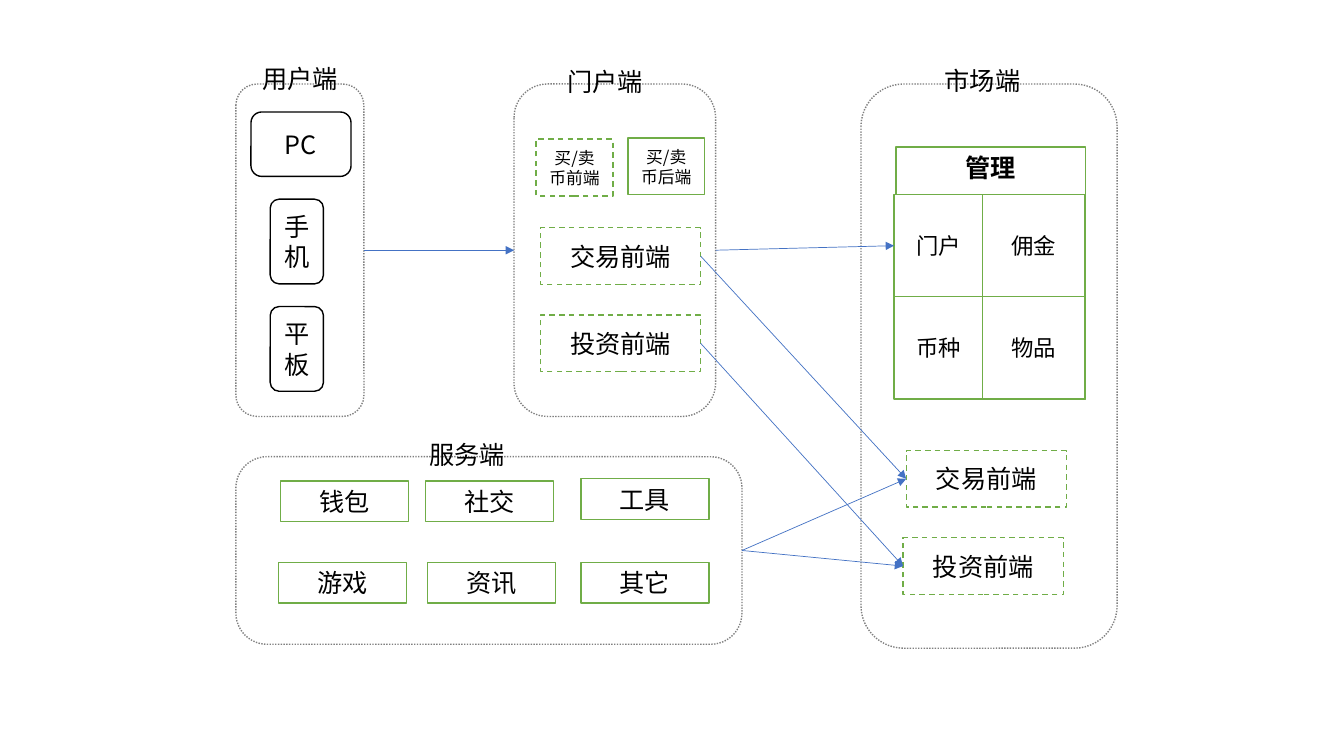
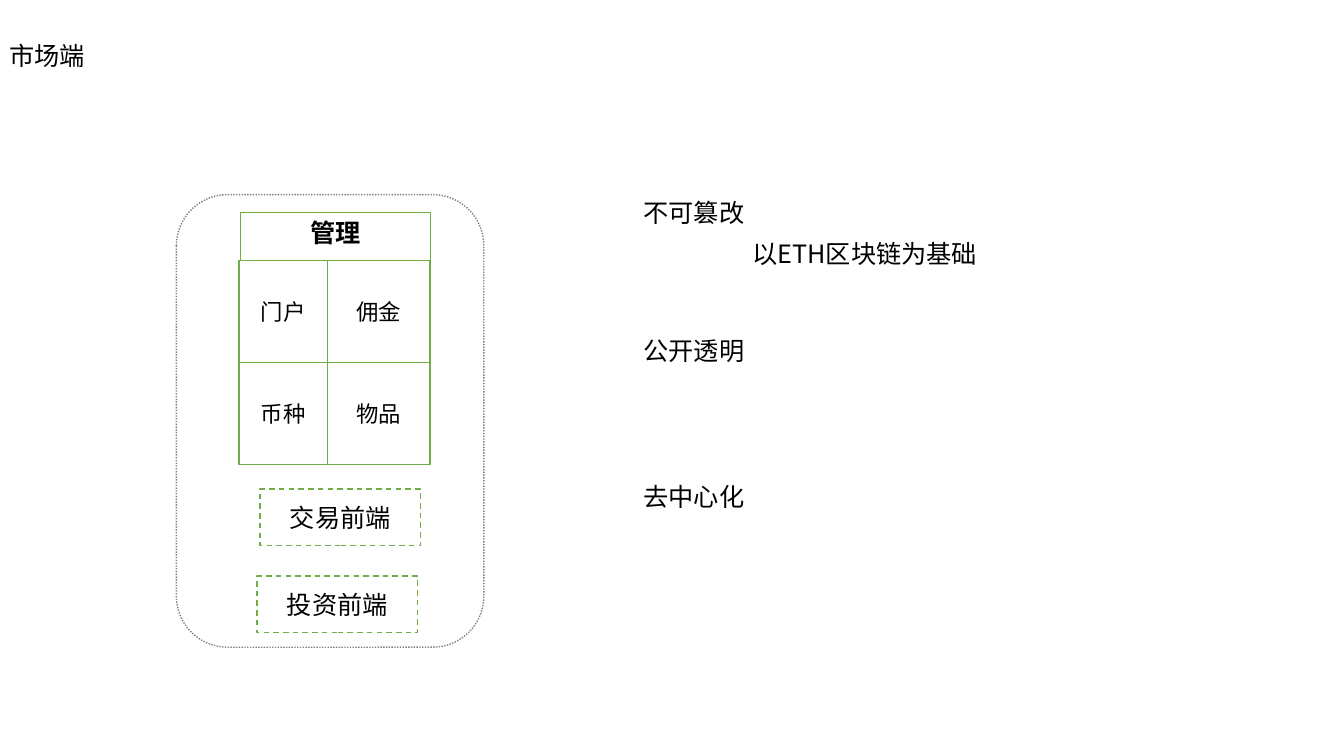
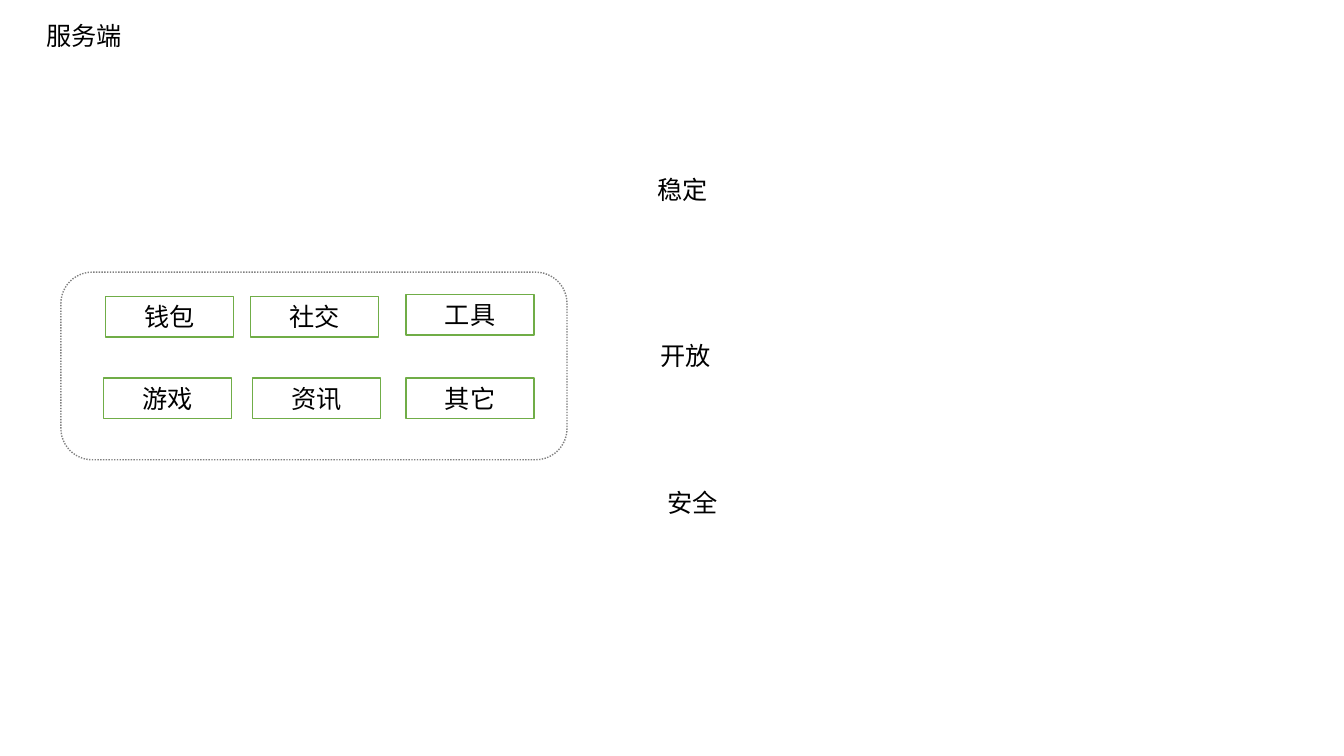
from dataclasses import dataclass

from pptx import Presentation
from pptx.dml.color import RGBColor
from pptx.enum import dml, shapes, text
from pptx.oxml import ns, xmlchemy
from pptx.util import Pt


@dataclass(frozen=True)
class Theme:
    font: str = "Noto Sans CJK SC"
    ink: str = "000000"
    paper: str = "FFFFFF"
    accent: str = "70AD47"
    frame: str = "808080"
    arrow: str = "4472C4"
    body: int = 18
    cell: int = 16
    small: int = 12


THEME = Theme()
RECT = shapes.MSO_SHAPE.RECTANGLE
ROUND = shapes.MSO_SHAPE.ROUNDED_RECTANGLE
DASH = dml.MSO_LINE.DASH
LABEL_SIZE = (91.5, 29)
TITLE_ONLY, BLANK = 5, 6
LEFT_SITE, RIGHT_SITE = 1, 3


def write(frame, words, size=THEME.body, bold=False, anchor=text.MSO_ANCHOR.MIDDLE):
    frame.word_wrap = True
    frame.vertical_anchor = anchor
    paragraph = frame.paragraphs[0]
    paragraph.alignment = text.PP_ALIGN.CENTER
    run = paragraph.add_run()
    run.text = words
    font = run.font
    font.size, font.bold, font.name = Pt(size), bold, THEME.font
    font.color.rgb = RGBColor.from_string(THEME.ink)
    east_asian = xmlchemy.OxmlElement("a:ea")
    east_asian.set("typeface", THEME.font)
    run._r.get_or_add_rPr().append(east_asian)


class Deck:
    """Holds the presentation and the slide being drawn; lengths are points."""

    def __init__(self):
        self.file = Presentation()
        self.file.slide_width, self.file.slide_height = Pt(960), Pt(540)

    def new_slide(self, layout):
        self.slide = self.file.slides.add_slide(self.file.slide_layouts[layout])

    def title(self, words, left, top):
        heading = self.slide.shapes.title
        heading.left, heading.top = Pt(left), Pt(top)
        heading.width, heading.height = map(Pt, LABEL_SIZE)
        heading.text_frame.auto_size = text.MSO_AUTO_SIZE.NONE
        write(heading.text_frame, words, anchor=text.MSO_ANCHOR.TOP)

    def label(self, words, left, top, width=LABEL_SIZE[0]):
        label = self.slide.shapes.add_textbox(*map(Pt, (left, top, width, LABEL_SIZE[1])))
        label.text_frame.auto_size = text.MSO_AUTO_SIZE.SHAPE_TO_FIT_TEXT
        write(label.text_frame, words, anchor=text.MSO_ANCHOR.TOP)

    def outline(self, kind, place, colour, dash=None):
        shape = self.slide.shapes.add_shape(kind, *map(Pt, place))
        shape.shadow.inherit = False
        shape.line.color.rgb = RGBColor.from_string(colour)
        shape.line.width = Pt(1)
        if dash:
            shape.line.dash_style = dash
        return shape

    def frame(self, *place):
        frame = self.outline(ROUND, place, THEME.frame, dml.MSO_LINE.ROUND_DOT)
        frame.fill.background()
        return frame

    def box(self, words, *place, kind=RECT, colour=THEME.accent, dash=None, **style):
        box = self.outline(kind, place, colour, dash)
        box.fill.solid()
        box.fill.fore_color.rgb = RGBColor.from_string(THEME.paper)
        write(box.text_frame, words, **style)
        return box

    def arrow(self, source, target):
        """Glue an arrow from the right of source to the left of target."""
        arrow = self.slide.shapes.add_connector(shapes.MSO_CONNECTOR.STRAIGHT, 0, 0, 0, 0)
        arrow.begin_connect(source, RIGHT_SITE)
        arrow.end_connect(target, LEFT_SITE)
        arrow.line.color.rgb = RGBColor.from_string(THEME.arrow)
        arrow.line.width = Pt(0.5)
        head = xmlchemy.OxmlElement("a:tailEnd")
        head.set("type", "triangle")
        properties = arrow._element.spPr
        properties.find(ns.qn("a:ln")).append(head)
        properties.append(xmlchemy.OxmlElement("a:effectLst"))

    def front_ends(self, left, top, shift=0):
        """Draw the trade and invest boxes, the second moved right by shift."""
        return [
            self.box(words, left + row * shift, top + row * 62.3, 114.5, 40.5, dash=DASH)
            for row, words in enumerate(("交易前端", "投资前端"))
        ]

    def management(self, left, top):
        """Draw the management block and return its portal cell."""
        self.box("管理", left, top, 135.5, 180, bold=True, anchor=text.MSO_ANCHOR.TOP)
        cells = {}
        for row, names in enumerate((("币种", "物品"), ("门户", "佣金"))):
            for column, name in enumerate(names):
                cells[name] = self.box(
                    name, left - 1.4 + column * 63.4, top + 34 + (1 - row) * 73,
                    (63.4, 73)[column], 73, size=THEME.cell)
        return cells["门户"]

    def services(self, left, top):
        """Draw the framed service boxes and return the frame."""
        frame = self.frame(left, top, 361.5, 134)
        for words, x, y in (
            ("钱包", 32, 17.3), ("社交", 135.5, 17.3), ("工具", 246.5, 15.8),
            ("游戏", 30.5, 75.6), ("资讯", 137, 75.6), ("其它", 246.5, 75.6),
        ):
            self.box(words, left + x, top + y, *LABEL_SIZE)
        return frame


def overview(deck):
    deck.new_slide(BLANK)
    users = deck.frame(168.5, 60, 91.5, 237.5)
    portal = deck.frame(367.2, 60, 144, 237.5)
    deck.frame(615, 60, 183, 403)
    for words, left, top, width, height in (
        ("PC", 179.3, 80, 71.5, 46),
        ("手机", 193, 142.3, 38, 60.5),
        ("平板", 193, 219, 38, 60.5),
    ):
        deck.box(words, left, top, width, height, kind=ROUND, colour=THEME.ink)
    deck.box("买/卖币前端", 383, 99.4, 54.8, 40.5, size=THEME.small, dash=DASH)
    deck.box("买/卖币后端", 448.5, 98.6, 54.8, 40.5, size=THEME.small)
    portal_fronts = deck.front_ends(386, 162.7)
    market_portal = deck.management(640, 105)
    market_fronts = deck.front_ends(647.3, 321.8, shift=-2.2)
    services = deck.services(168.5, 326.2)
    for words, left, top in (
        ("用户端", 168.5, 41.8), ("门户端", 386.6, 44),
        ("市场端", 656, 43.2), ("服务端", 288, 310.3),
    ):
        deck.label(words, left, top)
    links = [(users, portal), (portal, market_portal), *zip(portal_fronts, market_fronts)]
    links += [(services, front) for front in market_fronts]
    for source, target in links:
        deck.arrow(source, target)


def market(deck):
    deck.new_slide(TITLE_ONLY)
    deck.title("市场端", -12.2, 25.2)
    deck.frame(126, 139, 219.6, 323.3)
    deck.management(172, 152)
    deck.front_ends(185.8, 349.2, shift=-2.2)
    for words, top, width in (
        ("不可篡改", 137.5, 98.6), ("以ETH区块链为基础", 166.5, 342.7),
        ("公开透明", 236.2, 98.6), ("去中心化", 340.5, 98.6),
    ):
        deck.label(words, 446.4, top, width)


def service(deck):
    deck.new_slide(TITLE_ONLY)
    deck.title("服务端", 14.4, 10.8)
    deck.services(43.5, 194.4)
    for words, left, top, width in (
        ("稳定", 438.5, 121, 98.6), ("开放", 437, 239.8, 105.8), ("安全", 445.7, 344.2, 98.6),
    ):
        deck.label(words, left, top, width)


def main():
    deck = Deck()
    for draw in (overview, market, service):
        draw(deck)
    deck.file.save("out.pptx")


if __name__ == "__main__":
    main()
